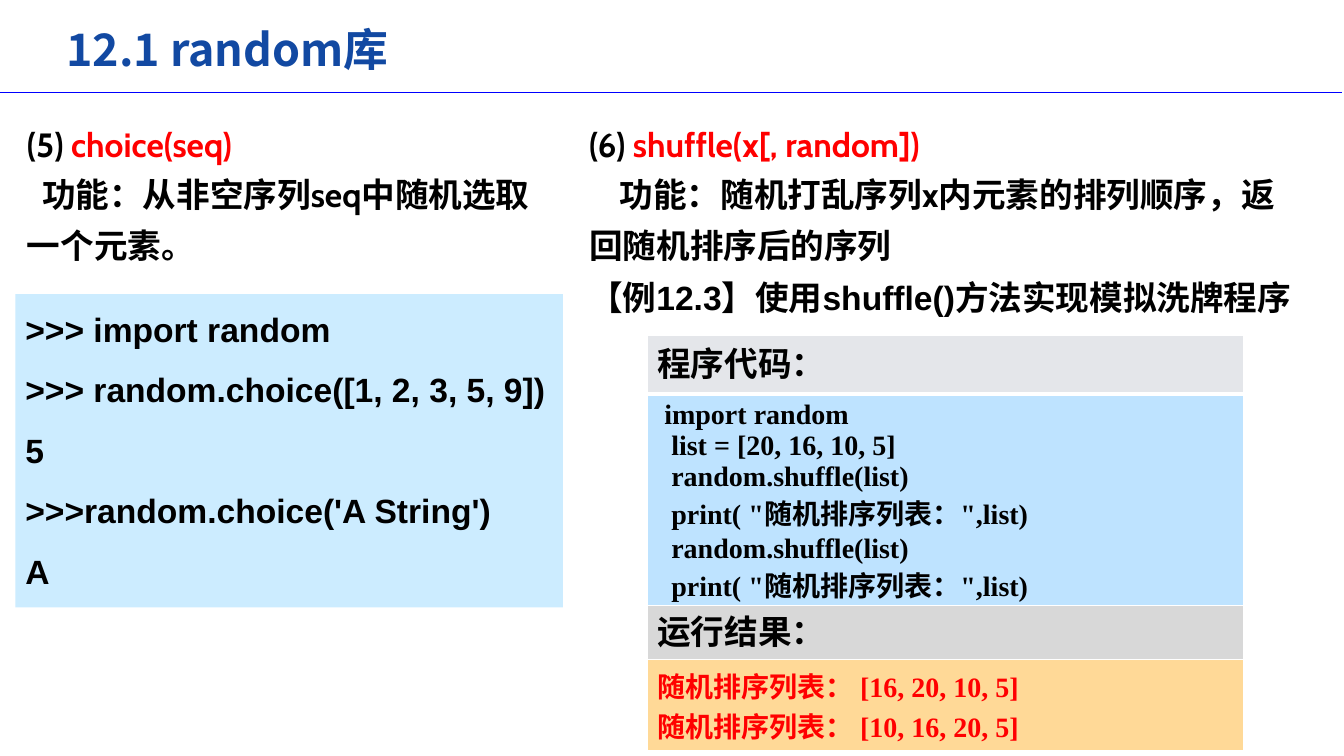
from dataclasses import dataclass

from lxml.etree import SubElement
from pptx import Presentation
from pptx.dml.color import RGBColor
from pptx.enum.shapes import MSO_CONNECTOR, MSO_SHAPE
from pptx.enum.text import MSO_ANCHOR, PP_ALIGN
from pptx.oxml.ns import qn
from pptx.util import Cm, Pt


@dataclass(frozen=True)
class Theme:
    # Colours
    title: str = "1249A2"
    rule: str = "0000FF"
    ink: str = "000000"
    accent: str = "FF0000"
    console: str = "CCECFF"
    code_head: str = "E4E6EA"
    code: str = "BEE3FF"
    result_head: str = "D8D8D8"
    result: str = "FFD997"
    border: str = "FFFFFF"
    # Type
    title_size: int = 32
    body_size: int = 24
    code_size: int = 20
    cjk: str = "Noto Sans CJK SC"
    prose: str = "Cabin"
    sans: str = "Arial"
    serif: str = "Times New Roman"


THEME = Theme()

CONSOLE = [
    ">>> import random",
    ">>> random.choice([1, 2, 3, 5, 9])",
    "5",
    ">>>random.choice('A String')",
    "A",
]
PROGRAM = [
    " import random",
    "  list = [20, 16, 10, 5]",
    "  random.shuffle(list)",
    '  print( "随机排序列表：",list)',
    "  random.shuffle(list)",
    '  print( "随机排序列表：",list)',
]
RESULT = ["随机排序列表： [16, 20, 10, 5]", "随机排序列表： [10, 16, 20, 5]"]


def color(value):
    return RGBColor.from_string(value)


def style_run(run, size, face, ink, east_asian):
    run.font.size = Pt(size)
    run.font.name = face
    run.font.bold = True
    run.font.color.rgb = color(ink)
    SubElement(run.font._element, qn("a:ea"), typeface=east_asian)


def write_lines(frame, lines, size, face, ink=THEME.ink, east_asian=None):
    """Fill a text frame with one styled paragraph per line."""
    frame.text = "\n".join(lines)
    for paragraph in frame.paragraphs:
        paragraph.alignment = PP_ALIGN.LEFT
        for run in paragraph.runs:
            style_run(run, size, face, ink, east_asian or face)


def add_text(slide, left, top, width, height, lines, size, face, ink=THEME.ink):
    frame = slide.shapes.add_textbox(Cm(left), Cm(top), Cm(width), Cm(height)).text_frame
    frame.word_wrap = True
    write_lines(frame, lines, size, face, ink)
    return frame


def add_function(slide, left, width, number, signature, purpose, indent):
    """Numbered function signature with an indented description."""
    frame = add_text(slide, left, 2.74, width, 2.95, [number, purpose],
                     THEME.body_size, THEME.prose)
    heading, description = frame.paragraphs
    signature_run = heading.add_run()
    signature_run.text = signature
    style_run(signature_run, THEME.body_size, THEME.prose, THEME.accent, THEME.prose)
    heading.line_spacing = description.line_spacing = 1.25
    description._p.get_or_add_pPr().set("indent", str(Cm(indent)))


def add_rule(slide):
    rule = slide.shapes.add_connector(MSO_CONNECTOR.STRAIGHT, 0, Cm(2.34), Cm(33.83), Cm(2.34))
    rule.line.color.rgb = color(THEME.rule)
    rule.line.width = Pt(0.75)
    SubElement(rule._element.spPr, qn("a:effectLst"))


def add_console(slide):
    console = slide.shapes.add_shape(MSO_SHAPE.RECTANGLE, Cm(0.39), Cm(7.41), Cm(13.8), Cm(7.9))
    console.shadow.inherit = False
    console.fill.solid()
    console.fill.fore_color.rgb = color(THEME.console)
    console.line.fill.background()
    frame = console.text_frame
    frame.word_wrap = True
    frame.vertical_anchor = MSO_ANCHOR.TOP
    frame.margin_top = Cm(0.11)
    write_lines(frame, CONSOLE, THEME.body_size, THEME.sans)
    for position, paragraph in enumerate(frame.paragraphs):
        paragraph.line_spacing = 1.25
        if position:
            paragraph.space_before = Pt(7.2)


def add_border(cell, side, width):
    edge = SubElement(cell._tc.get_or_add_tcPr(), qn(f"a:{side}"), w=str(Pt(width)))
    fill = SubElement(edge, qn("a:solidFill"))
    SubElement(fill, qn("a:srgbClr"), val=THEME.border)


def add_listing(slide):
    """Table of headed program code and its output."""
    heading = (THEME.body_size, THEME.sans, THEME.ink, THEME.sans)
    code = (THEME.code_size, THEME.serif, THEME.ink, THEME.cjk)
    output = (THEME.code_size, THEME.serif, THEME.accent, THEME.cjk)
    # Height, fill, lines, text style, top and bottom border
    rows = [
        (1.47, THEME.code_head, ["程序代码："], heading, 1, 3),
        (4.32, THEME.code, PROGRAM, code, 3, 1),
        (1.35, THEME.result_head, ["运行结果："], heading, 1, 1),
        (2.29, THEME.result, RESULT, output, 1, 1),
    ]
    table = slide.shapes.add_table(len(rows), 1, Cm(16.31), Cm(8.46), Cm(15.04), Cm(9.43)).table
    for index, (height, fill, lines, style, above, below) in enumerate(rows):
        table.rows[index].height = Cm(height)
        cell = table.cell(index, 0)
        cell.vertical_anchor = MSO_ANCHOR.MIDDLE
        write_lines(cell.text_frame, lines, *style)
        for side, width in (("lnL", 1), ("lnR", 1), ("lnT", above), ("lnB", below)):
            add_border(cell, side, width)
        cell.fill.solid()
        cell.fill.fore_color.rgb = color(fill)


def main():
    deck = Presentation()
    deck.slide_width, deck.slide_height = Cm(33.87), Cm(19.05)
    slide = deck.slides.add_slide(deck.slide_layouts[6])

    # Title
    add_rule(slide)
    title = add_text(slide, 1.42, 0.43, 10.87, 1.57, ["12.1 random库"],
                     THEME.title_size, THEME.cjk, THEME.title)
    title.vertical_anchor = MSO_ANCHOR.MIDDLE
    title.margin_top = title.margin_bottom = 0

    # Left column: choice
    add_function(slide, 0.43, 13.59, "(5) ", "choice(seq)",
                 "功能：从非空序列seq中随机选取一个元素。", 0.38)
    add_console(slide)

    # Right column: shuffle
    add_function(slide, 14.6, 18.42, "(6) ", "shuffle(x[, random])",
                 "功能：随机打乱序列x内元素的排列顺序，返回随机排序后的序列", 0.77)
    add_text(slide, 14.6, 6.86, 18.42, 1.27,
             ["【例12.3】使用shuffle()方法实现模拟洗牌程序"], THEME.body_size, THEME.sans)
    add_listing(slide)

    deck.save("out.pptx")


if __name__ == "__main__":
    main()
